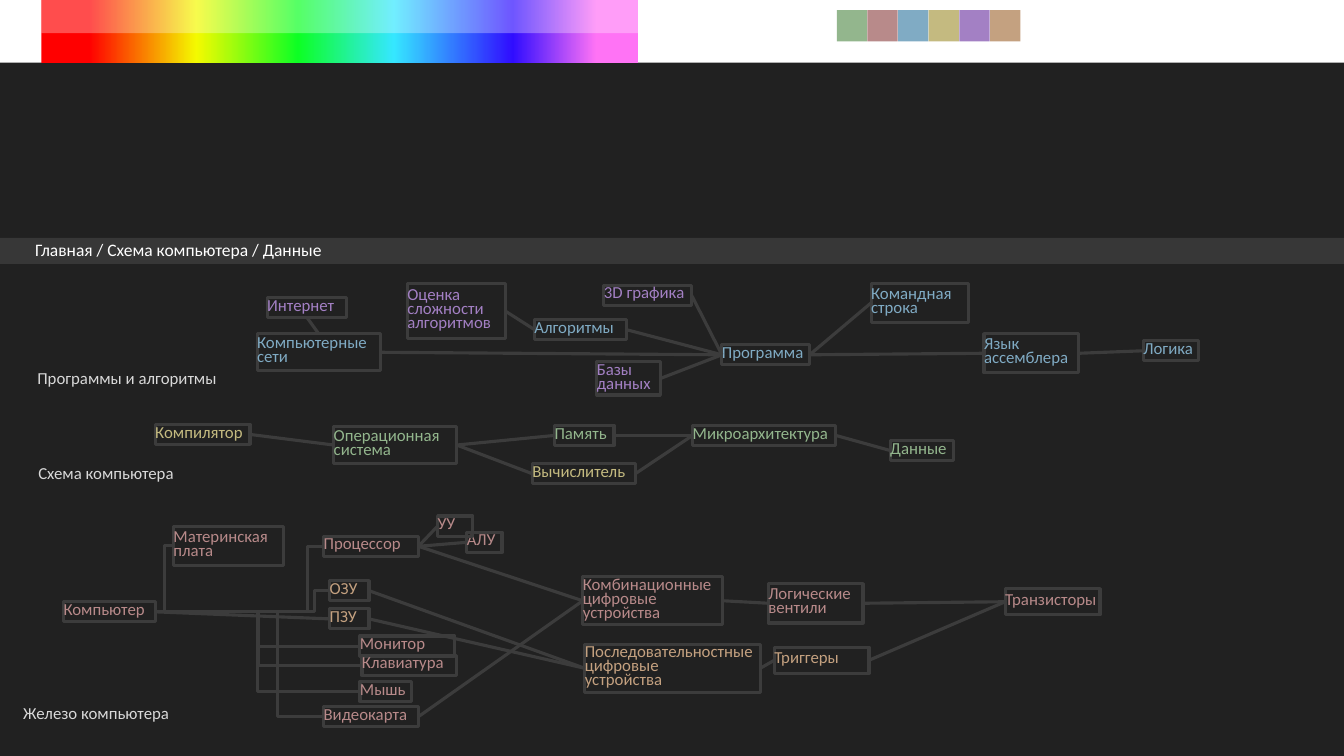
from lxml import etree
from pptx import Presentation
from pptx import util as u
from pptx.dml.color import RGBColor
from pptx.enum import shapes, text
from pptx.oxml.ns import qn

COLORS = {
    "green": "93B68D", "rose": "B88A8A", "blue": "80ABC4",
    "yellow": "C4BA80", "violet": "A380C4", "tan": "C4A180",
    "page": "212121", "bar": "373737", "edge": "3C3C3C",
    "white": "FFFFFF", "label": "D9D9D9",
}
SWATCHES = ["green", "rose", "blue", "yellow", "violet", "tan"]
RAINBOW = [(8, "FF0000"), (26, "F4FA00"), (43, "0DFF24"),
           (59, "35E7FF"), (79, "300DFF"), (93, "FF73F5")]
BREADCRUMB = "Главная / Схема компьютера / Данные"
SECTIONS = [
    ("Программы и алгоритмы", 0.37, 3.66),
    ("Схема компьютера", 0.38, 4.6),
    ("Железо компьютера", 0.23, 6.98),
]
TOPICS = [
    ("Компилятор", "yellow", 1.54, 4.21, 0.94, 0.2),
    ("Операционная\nсистема", "green", 3.31, 4.23, 1.22, 0.37),
    ("Память", "green", 5.5, 4.22, 0.59, 0.2),
    ("Вычислитель", "yellow", 5.28, 4.6, 1.02, 0.2),
    ("Микроархитектура", "green", 6.87, 4.22, 1.42, 0.2),
    ("Данные", "green", 8.83, 4.37, 0.63, 0.2),
    ("Материнская\nплата", "rose", 1.72, 5.22, 1.09, 0.39),
    ("Процессор", "rose", 3.21, 5.32, 0.94, 0.2),
    ("ОЗУ", "tan", 3.27, 5.76, 0.39, 0.2),
    ("ПЗУ", "tan", 3.27, 6.04, 0.39, 0.2),
    ("Монитор", "rose", 3.57, 6.31, 0.94, 0.2),
    ("Клавиатура", "rose", 3.59, 6.5, 0.94, 0.2),
    ("Мышь", "rose", 3.57, 6.76, 0.51, 0.2),
    ("Видеокарта", "rose", 3.21, 7.01, 0.94, 0.2),
    ("АЛУ", "rose", 4.63, 5.28, 0.35, 0.2),
    ("УУ", "rose", 4.34, 5.12, 0.35, 0.2),
    ("Последовательностные\nцифровые\nустройства", "tan", 5.8, 6.39, 1.74, 0.48),
    ("Логические\nвентили", "rose", 7.62, 5.79, 0.94, 0.39),
    ("Транзисторы", "rose", 9.97, 5.84, 0.94, 0.26),
    ("Оценка\nсложности\nалгоритмов", "violet", 4.04, 2.81, 0.97, 0.55),
    ("Триггеры", "tan", 7.68, 6.42, 0.94, 0.26),
    ("Комбинационные\nцифровые\nустройства", "rose", 5.78, 5.72, 1.39, 0.48),
    ("Компьютер", "rose", 0.63, 5.97, 0.91, 0.2),
    ("Компьютерные сети", "blue", 2.55, 3.31, 1.22, 0.37),
    ("Интернет", "violet", 2.65, 2.95, 0.79, 0.2),
    ("Алгоритмы", "blue", 5.3, 3.17, 0.91, 0.2),
    ("Базы\nданных", "violet", 5.92, 3.59, 0.63, 0.33),
    ("3D графика", "violet", 5.99, 2.83, 0.87, 0.2),
    ("Программа", "blue", 7.16, 3.42, 0.87, 0.2),
    ("Командная\nстрока", "blue", 8.64, 2.81, 0.97, 0.39),
    ("Язык\nассемблера", "blue", 9.76, 3.31, 0.94, 0.39),
    ("Логика", "blue", 11.34, 3.38, 0.55, 0.2),
]
LINKS = [
    ("Компилятор", ["Операционная"]),
    ("Операционная", ["Память", "Вычислитель"]),
    ("Память", ["Микроархитектура"]),
    ("Вычислитель", ["Микроархитектура"]),
    ("Микроархитектура", ["Данные"]),
    ("Программа", ["Язык", "Командная"]),
    ("Базы", ["Программа"]),
    ("Алгоритмы", ["Программа"]),
    ("Оценка", ["Алгоритмы"]),
    ("Компьютерные сети", ["Программа"]),
    ("3D графика", ["Программа"]),
    ("Язык", ["Логика"]),
    ("Триггеры", ["Транзисторы"]),
    ("Логические", ["Транзисторы"]),
    ("Комбинационные", ["Логические"]),
    ("Последовательностные", ["Триггеры"]),
    ("Процессор", ["Комбинационные", "УУ", "АЛУ"]),
    ("Видеокарта", ["Комбинационные"]),
    ("ОЗУ", ["Последовательностные"]),
    ("ПЗУ", ["Последовательностные"]),
    ("Компьютер", ["ПЗУ"]),
]
ELBOWS = [("Процессор", 9.4), ("ОЗУ", 8.8), ("Монитор", 50), ("Материнская", 50),
          ("Клавиатура", 50), ("Мышь", 50), ("Видеокарта", 27.3)]
TOP, LEFT, BOTTOM, RIGHT = range(4)

prs = Presentation()
prs.slide_width, prs.slide_height = u.Inches(13.33), u.Inches(7.5)
s = prs.slides.add_slide(prs.slide_layouts[6])


def rgb(name):
    return RGBColor.from_string(COLORS[name])


def add_rect(x, y, w, h, fill=None, line=None):
    sp = s.shapes.add_shape(shapes.MSO_SHAPE.RECTANGLE, *map(u.Inches, (x, y, w, h)))
    sp.shadow.inherit = False
    if fill:
        sp.fill.solid()
        sp.fill.fore_color.rgb = rgb(fill)
    else:
        sp.fill.background()
    if line:
        sp.line.color.rgb = rgb(line)
        sp.line.width = u.Pt(2.25)
    else:
        sp.line.fill.background()
    return sp


def write(sp, words, color, size=12, spacing=u.Pt(10), insets=(0, 0, 0, 0)):
    tf = sp.text_frame
    tf.word_wrap = True
    tf.vertical_anchor = text.MSO_ANCHOR.MIDDLE
    tf.margin_left, tf.margin_top, tf.margin_right, tf.margin_bottom = map(u.Inches, insets)
    for i, row in enumerate(words.split("\n")):
        p = tf.add_paragraph() if i else tf.paragraphs[0]
        p.alignment = text.PP_ALIGN.LEFT
        p.line_spacing = spacing
        r = p.add_run()
        r.text = row
        r.font.size = u.Pt(size)
        r.font.name = "Calibri"
        r.font.color.rgb = rgb(color)


def connect(kind, begin, begin_side, end, end_side):
    c = s.shapes.add_connector(kind, 0, 0, 0, 0)
    c.begin_connect(begin, begin_side)
    c.end_connect(end, end_side)
    c.line.color.rgb = rgb("edge")
    c.line.width = u.Pt(2.25)
    etree.SubElement(c._element.spPr, qn("a:effectLst"))
    return c


add_rect(0, 0.62, 13.33, 6.88, "page")
write(add_rect(0, 2.36, 13.33, 0.26, "bar"), BREADCRUMB, "white", 12.5, None,
      (0.35, 0.05, 0.1, 0.08))

spectrum = add_rect(0.41, 0, 5.92, 0.63)
spectrum.fill.gradient()
spectrum.fill.gradient_angle = 0
stops = spectrum._element.spPr.find(".//" + qn("a:gsLst"))
for stop in list(stops):
    stops.remove(stop)
for percent, color in RAINBOW:
    stop = etree.SubElement(stops, qn("a:gs"), pos=str(percent * 1000))
    etree.SubElement(stop, qn("a:srgbClr"), val=color)

veil = add_rect(0.41, 0, 5.92, 0.33, "white")
veil_color = veil._element.spPr.find(".//" + qn("a:srgbClr"))
etree.SubElement(veil_color, qn("a:alpha"), val="30000")

for i, color in enumerate(SWATCHES):
    add_rect(8.3 + i * 1.52 / 5, 0.1, 0.3, 0.31, color)

boxes = {}
for words, color, *place in TOPICS:
    sp = add_rect(*place, line="edge")
    write(sp, words, color)
    boxes[words.split("\n")[0]] = sp

straight, elbow = shapes.MSO_CONNECTOR.STRAIGHT, shapes.MSO_CONNECTOR.ELBOW
for start, ends in LINKS:
    for end in ends:
        connect(straight, boxes[start], RIGHT, boxes[end], LEFT)
connect(straight, boxes["Компьютерные сети"], TOP, boxes["Интернет"], BOTTOM)

for part, bend in ELBOWS:
    c = connect(elbow, boxes[part], LEFT, boxes["Компьютер"], RIGHT)
    guides = c._element.spPr.find(".//" + qn("a:avLst"))
    etree.SubElement(guides, qn("a:gd"), name="adj1", fmla=f"val {round(bend * 1000)}")

for words, x, y in SECTIONS:
    sp = s.shapes.add_textbox(*map(u.Inches, (x, y, 1.88, 0.24)))
    write(sp, words, "label")

prs.save("out.pptx")
